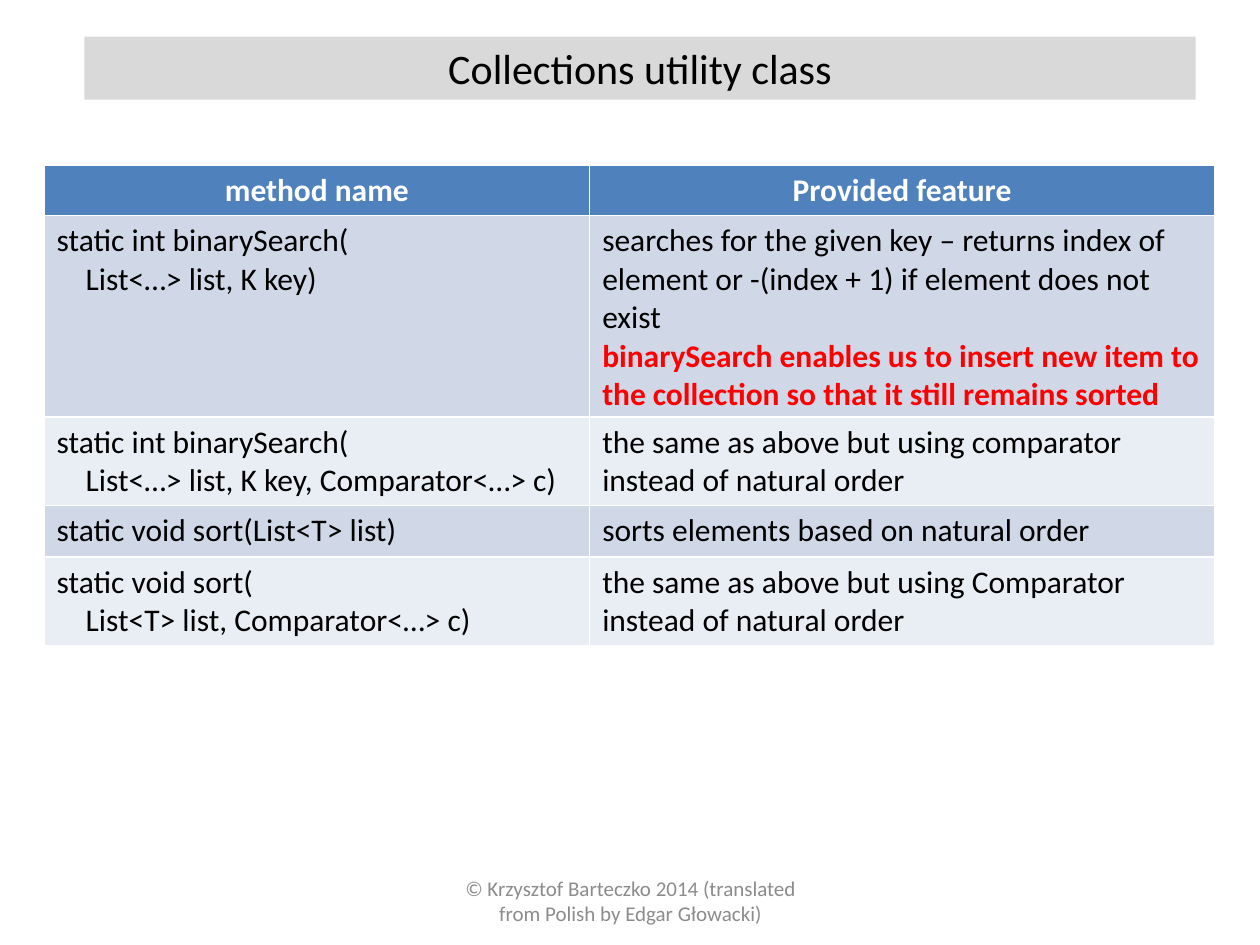
from pptx import Presentation
from pptx.dml.color import RGBColor
from pptx.enum.text import MSO_ANCHOR as Anchor, MSO_AUTO_SIZE as AutoSize, PP_ALIGN as Align
from pptx.util import Inches, Pt

BLACK = RGBColor(0x00, 0x00, 0x00)
WHITE = RGBColor(0xFF, 0xFF, 0xFF)
RED = RGBColor(0xFF, 0x00, 0x00)
GREY = RGBColor(0x8C, 0x8C, 0x8C)
TITLE_FILL = RGBColor(0xD9, 0xD9, 0xD9)
HEADER_FILL = RGBColor(0x4F, 0x81, 0xBD)
BANDS = [RGBColor(0xD0, 0xD8, 0xE8), RGBColor(0xE9, 0xED, 0xF4)]

FONT = "Calibri"
CODE_INDENT = Inches(0.23)
COLUMNS = [4.33, 4.96]
ROWS = [0.4, 1.6, 0.7, 0.41, 0.7]

HEADER = ["method name", "Provided feature"]
METHODS = [
    (["static int binarySearch(", "List<…> list, K key)"],
     ["searches for the given key – returns index of element or -(index + 1) if element does not exist",
      "binarySearch enables us to insert new item to the collection so that it still remains sorted"]),
    (["static int binarySearch(", "List<…> list, K key, Comparator<…> c)"],
     ["the same as above but using comparator instead of natural order"]),
    (["static void sort(List<T> list)"],
     ["sorts elements based on natural order"]),
    (["static void sort(", "List<T> list, Comparator<…> c)"],
     ["the same as above but using Comparator instead of natural order"]),
]


def write(p, text, size=18, color=BLACK, bold=False, align=Align.LEFT):
    p.alignment = align
    r = p.add_run()
    r.text = text
    for name, value in {"name": FONT, "size": Pt(size), "bold": bold}.items():
        setattr(r.font, name, value)
    r.font.color.rgb = color


def place(sp, left, top, width, height):
    box = {"left": left, "top": top, "width": width, "height": height}
    for name, value in box.items():
        setattr(sp, name, Inches(value))


def add_title(s, text):
    sp = s.shapes.title
    place(sp, 0.67, 0.29, 8.82, 0.5)
    sp.fill.solid()
    sp.fill.fore_color.rgb = TITLE_FILL
    sp.text_frame.auto_size = AutoSize.NONE
    write(sp.text_frame.paragraphs[0], text, size=24, align=Align.CENTER)


def add_footer(s, text):
    sp = s.shapes.add_textbox(0, 0, 0, 0)
    place(sp, 3.42, 6.95, 3.17, 0.4)
    tf = sp.text_frame
    tf.word_wrap = True
    tf.vertical_anchor = Anchor.MIDDLE
    write(tf.paragraphs[0], text, size=12, color=GREY, align=Align.CENTER)


def fill_cell(cell, color, lines, styles):
    cell.fill.solid()
    cell.fill.fore_color.rgb = color
    tf = cell.text_frame
    for i, (line, style) in enumerate(zip(lines, styles)):
        p = tf.add_paragraph() if i else tf.paragraphs[0]
        write(p, line, **style)


def add_method_table(s):
    frame = s.shapes.add_table(len(ROWS), len(COLUMNS), Inches(0.35), Inches(1.31),
                               Inches(sum(COLUMNS)), Inches(sum(ROWS)))
    table = frame.table
    for column, width in zip(table.columns, COLUMNS):
        column.width = Inches(width)
    for row, height in zip(table.rows, ROWS):
        row.height = Inches(height)

    heading = {"color": WHITE, "bold": True, "align": Align.CENTER}
    for c, text in enumerate(HEADER):
        fill_cell(table.cell(0, c), HEADER_FILL, [text], [heading])

    remark = {"color": RED, "bold": True}
    for i, (signature, feature) in enumerate(METHODS):
        band = BANDS[i % 2]
        code = table.cell(i + 1, 0)
        fill_cell(code, band, signature, [{}, {}])
        for p in code.text_frame.paragraphs[1:]:
            p._p.get_or_add_pPr().set("marL", str(CODE_INDENT))
        fill_cell(table.cell(i + 1, 1), band, feature, [{}, remark])


def main():
    prs = Presentation()
    prs.slide_width, prs.slide_height = Inches(10), Inches(7.5)
    s = prs.slides.add_slide(prs.slide_layouts[5])
    add_footer(s, "© Krzysztof Barteczko 2014 (translated from Polish by Edgar Głowacki)")
    add_title(s, "Collections utility class")
    add_method_table(s)
    prs.save("out.pptx")


if __name__ == "__main__":
    main()
